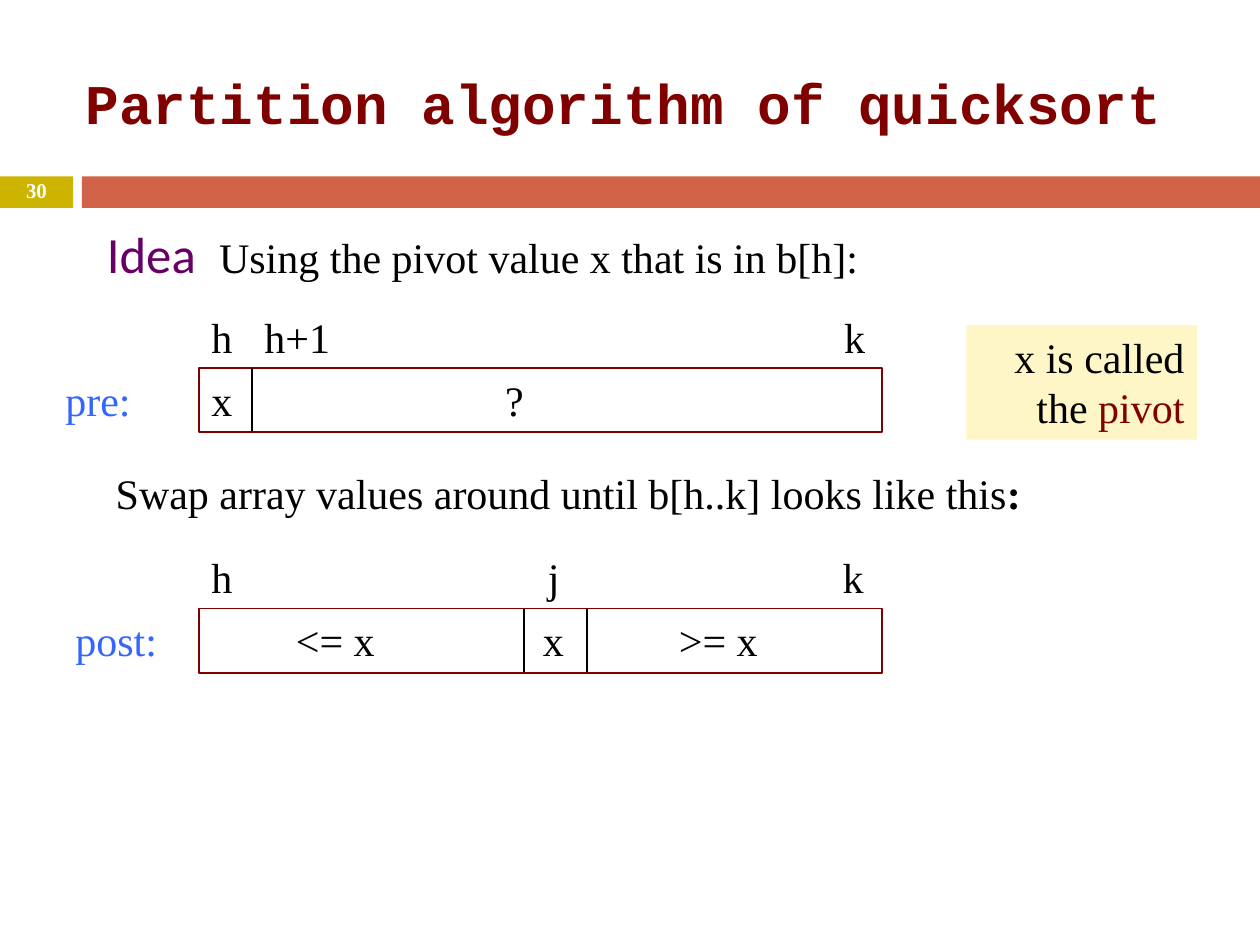
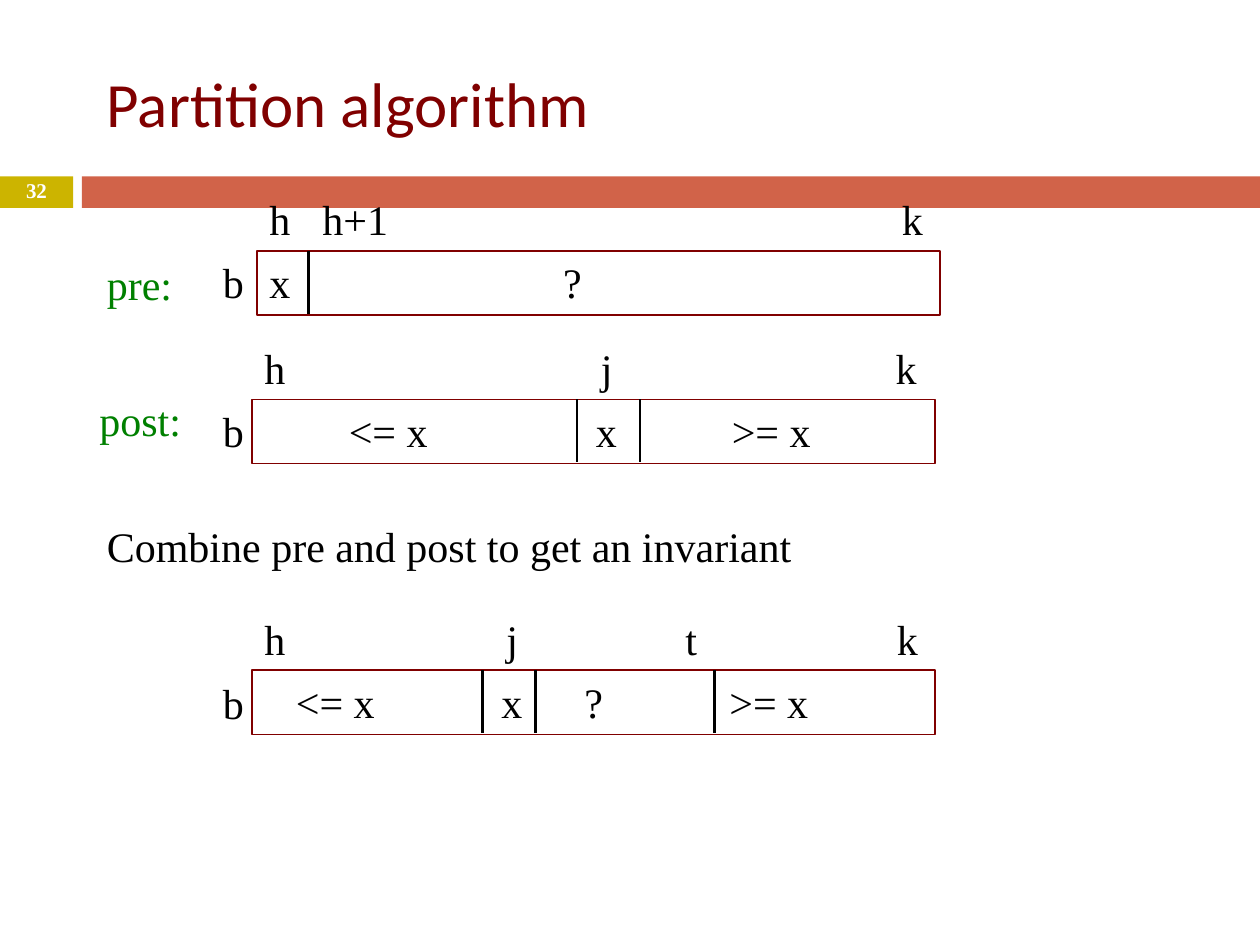
from lxml import etree
from pptx import Presentation
from pptx.dml.color import RGBColor
from pptx.enum.shapes import MSO_CONNECTOR, MSO_SHAPE
from pptx.enum.text import MSO_ANCHOR, PP_ALIGN
from pptx.oxml.ns import qn
from pptx.util import Inches, Pt

RECTANGLE = MSO_SHAPE.RECTANGLE
STRAIGHT = MSO_CONNECTOR.STRAIGHT
TOP, MIDDLE = MSO_ANCHOR.TOP, MSO_ANCHOR.MIDDLE
LEFT, CENTER, RIGHT = PP_ALIGN.LEFT, PP_ALIGN.CENTER, PP_ALIGN.RIGHT

COLOURS = {
    "ink": "000000", "white": "FFFFFF", "maroon": "800000", "band": "D16349",
    "number": "CCB400", "idea": "660066", "note": "FFF6C7",
    "blue": "3366FF", "green": "008000",
}
BODY_FONT = {"name": "Times New Roman", "size": Pt(24), "bold": False, "color": "ink"}
CALIBRI_TITLE = {"name": "Calibri", "size": Pt(36), "color": "maroon"}
COURIER_TITLE = {"name": "Courier New", "size": Pt(32), "bold": True, "color": "maroon"}
ROW_WIDTH, ROW_HEIGHT, ROW_STEP = 5.42, 0.51, 0.5

PRE = {
    "labels": [(0, "h"), (0.42, "h+1"), (5.02, "k")],
    "values": [(0, "x"), (2.33, "?")],
}
POST = {
    "labels": [(0, "h"), (2.67, "j"), (5.01, "k")],
    "values": [(0.67, "<= x"), (2.63, "x"), (3.71, ">= x")],
    "dividers": [2.58, 3.08],
}
INVARIANT = {
    "labels": [(0, "h"), (1.92, "j"), (3.34, "t"), (5.02, "k")],
    "values": [(0.25, "<= x"), (1.88, "x"), (2.54, "?"), (3.69, ">= x")],
    "dividers": [1.83, 2.25, 3.67],
}


def colour(name):
    """Return the named colour."""
    return RGBColor.from_string(COLOURS[name])


def set_tabs(para, stops):
    """Give a paragraph left tab stops, in inches."""
    tab_list = etree.SubElement(para._p.get_or_add_pPr(), qn("a:tabLst"))
    for stop in stops:
        etree.SubElement(tab_list, qn("a:tab"), pos=str(Inches(stop)), algn="l")


def add_spans(para, spans):
    """Add (text, format) spans to a paragraph."""
    for text, changes in spans:
        span = para.add_run()
        span.text = text
        for key, value in {**BODY_FONT, **changes}.items():
            if key == "color":
                span.font.color.rgb = colour(value)
            else:
                setattr(span.font, key, value)


def set_frame(shape, anchor=TOP, wrap=True, right_inset=0.1):
    """Set the text frame's format and return its first paragraph."""
    frame = shape.text_frame
    formats = {
        "vertical_anchor": anchor, "word_wrap": wrap,
        "margin_left": Inches(0.1), "margin_right": Inches(right_inset),
        "margin_top": Inches(0.05), "margin_bottom": Inches(0.05),
    }
    for key, value in formats.items():
        setattr(frame, key, value)
    frame.paragraphs[0].alignment = LEFT
    return frame.paragraphs[0]


def add_text(page, box, text, changes=None, **frame_format):
    """Add a one-paragraph text box and return the paragraph."""
    shape = page.shapes.add_textbox(*map(Inches, box))
    para = set_frame(shape, **frame_format)
    add_spans(para, [(text, changes or {})])
    return para


def add_label(page, left, top, text, color="ink", width=0.86):
    """Add a single-line label that does not wrap."""
    add_text(page, (left, top, width, ROW_HEIGHT), text, {"color": color}, wrap=False)


def add_rectangle(page, box, fill=None, line=None):
    """Add a plain rectangle with an optional fill and outline."""
    shape = page.shapes.add_shape(RECTANGLE, *map(Inches, box))
    shape.shadow.inherit = False
    if fill:
        shape.fill.solid()
        shape.fill.fore_color.rgb = colour(fill)
    else:
        shape.fill.background()
    if line:
        shape.line.color.rgb = colour(line)
        shape.line.width = Pt(1)
    else:
        shape.line.fill.background()
    return shape


def add_divider(page, left, top):
    """Add a vertical line between two array segments."""
    ends = (left, top, left, top + ROW_STEP)
    line = page.shapes.add_connector(STRAIGHT, *map(Inches, ends))
    line.line.color.rgb = colour("ink")
    line.line.width = Pt(1.5)
    etree.SubElement(line._element.spPr, qn("a:effectLst"))


def add_row(shape, words):
    """Set words at their offsets along one line of a shape."""
    para = set_frame(shape)
    set_tabs(para, [offset for offset, _ in words if offset])
    text = "".join(("\t" if offset else "") + word for offset, word in words)
    add_spans(para, [(text, {})])


def add_array(page, left, top, labels, values, dividers):
    """Draw an array with index labels above its segments."""
    size = (ROW_WIDTH, ROW_HEIGHT)
    add_row(add_rectangle(page, (left, top + ROW_STEP, *size), line="maroon"), values)
    add_row(page.shapes.add_textbox(*map(Inches, (left, top, *size))), labels)
    for offset in dividers:
        add_divider(page, left + offset, top + ROW_STEP)


def add_page(deck, title, title_box, title_format, number):
    """Add a page with its title, bands and number."""
    page = deck.slides.add_slide(deck.slide_layouts[6])
    add_rectangle(page, (0, 1.4, 0.58, 0.25), fill="number")
    add_rectangle(page, (0.65, 1.4, 9.35, 0.25), fill="band")
    add_text(page, title_box, title, title_format, anchor=MIDDLE, right_inset=0.14)
    number_format = {"size": Pt(12), "bold": True, "color": "white"}
    para = add_text(page, (0, 1.39, 0.58, 0.27), number, number_format, anchor=MIDDLE)
    para.alignment = CENTER
    para.line_spacing = 0.8
    return page


def add_explanation(page, box):
    """Add the idea and the swap instruction."""
    shape = page.shapes.add_textbox(*map(Inches, box))
    idea = set_frame(shape, right_inset=0.14)
    set_tabs(idea, [0.89])
    add_spans(idea, [
        ("Idea", {"name": "Calibri", "size": Pt(29), "color": "idea"}),
        ("\tUsing the pivot value x that is in b[h]:", {}),
    ])
    swap = shape.text_frame.add_paragraph()
    swap.space_before = Pt(105)
    swap._p.get_or_add_pPr().set("marL", str(Inches(0.07)))
    add_spans(swap, [
        ("Swap array values around until b[h..k] looks like this", {}),
        (":", {"bold": True}),
    ])


def add_pivot_note(page, box):
    """Add the note that names the pivot."""
    para = set_frame(add_rectangle(page, box, fill="note"))
    para.alignment = RIGHT
    add_spans(para, [("x is called the ", {}), ("pivot", {"color": "maroon"})])


def build_idea_page(deck):
    """Build the page on the idea of partitioning."""
    page = add_page(deck, "Partition algorithm of quicksort",
                    (0.58, 0.29, 9, 1.04), COURIER_TITLE, "30")
    add_explanation(page, (0.75, 1.72, 7.67, 5.06))
    add_array(page, 1.58, 2.42, **PRE, dividers=[0.42])
    add_array(page, 1.58, 4.33, **POST)
    add_label(page, 0.42, 2.92, "pre:", "blue")
    add_label(page, 0.5, 4.83, "post:", "blue")
    add_pivot_note(page, (7.67, 2.58, 1.83, 0.91))


def build_invariant_page(deck):
    """Build the page that combines the conditions into an invariant."""
    page = add_page(deck, "Partition algorithm",
                    (0.75, 0.29, 8.5, 1.04), CALIBRI_TITLE, "32")
    add_array(page, 2.04, 1.49, **PRE, dividers=[0.41])
    add_array(page, 2, 2.67, **POST)
    add_array(page, 2, 4.82, **INVARIANT)
    for top in (1.99, 3.17, 5.33):
        add_label(page, 1.67, top, "b", width=0.37)
    add_label(page, 0.75, 2, "pre:", "green")
    add_label(page, 0.69, 3.08, "post:", "green")
    add_label(page, 0.75, 4.08, "Combine pre and post to get an invariant", width=5.7)


def main():
    """Build and save the deck."""
    deck = Presentation()
    deck.slide_width, deck.slide_height = Inches(10), Inches(7.5)
    build_idea_page(deck)
    build_invariant_page(deck)
    deck.save("out.pptx")


if __name__ == "__main__":
    main()
